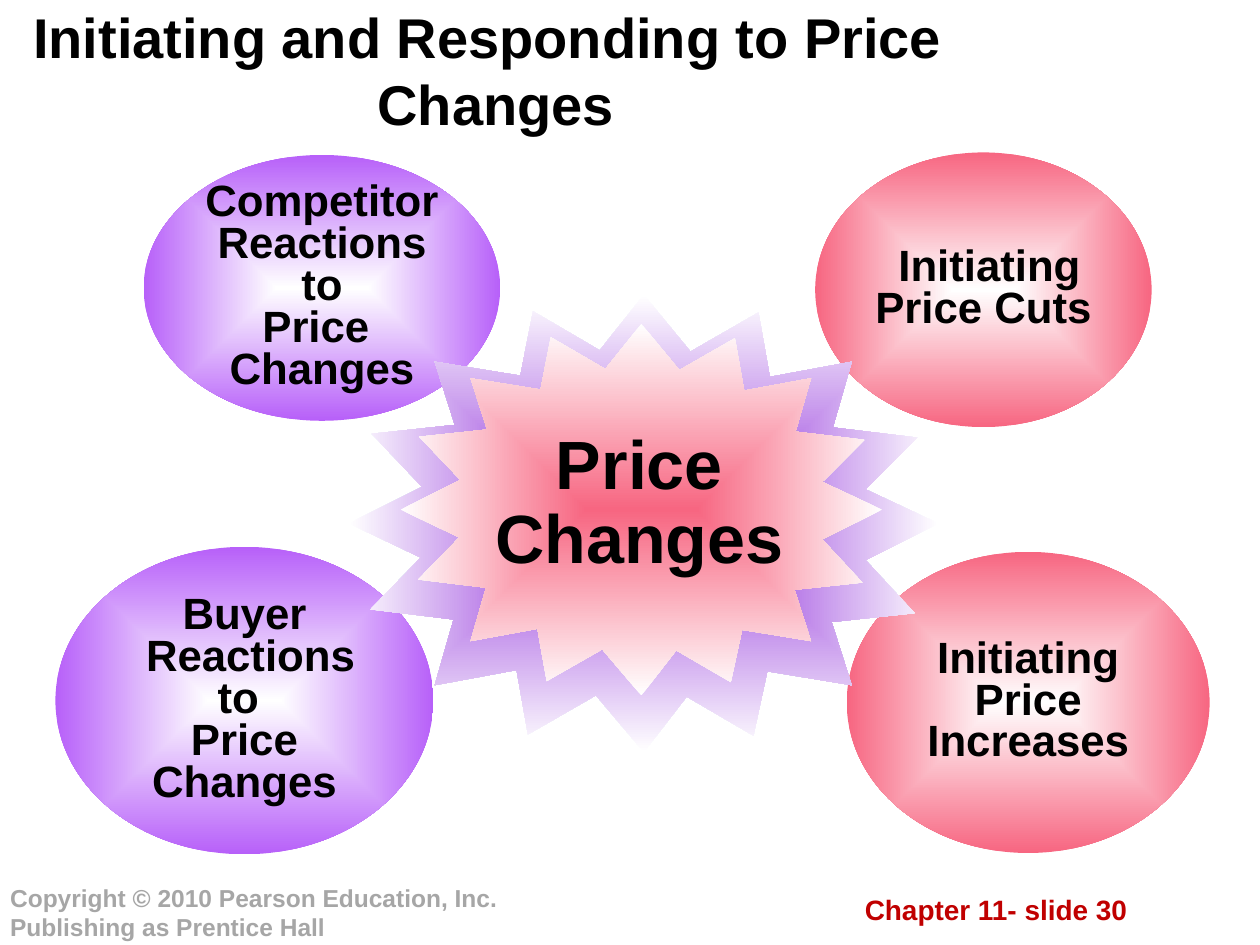
from pptx import Presentation
from pptx.dml.color import RGBColor
from pptx.enum.shapes import MSO_SHAPE
from pptx.enum.text import MSO_ANCHOR, PP_ALIGN
from pptx.oxml import parse_xml
from pptx.oxml.ns import nsdecls
from pptx.util import Inches, Pt

BLACK = RGBColor(0x00, 0x00, 0x00)
WHITE = RGBColor(0xFF, 0xFF, 0xFF)
GREY = RGBColor(0xA6, 0xA6, 0xA6)
RED = RGBColor(0xC0, 0x00, 0x00)
PINK = RGBColor(0xF7, 0x66, 0x81)
PURPLE = RGBColor(0xB7, 0x60, 0xF9)
VIOLET = RGBColor(0x92, 0x34, 0xDB)


def glow(shape, inner, outer):
    """Fill with a gradient from the centre to the edges, without line or shadow."""
    shape.shadow.inherit = False
    shape.line.fill.background()
    shape.fill.background()
    blank = shape.fill._xPr.find("{*}noFill")
    blank.getparent().replace(blank, parse_xml(
        f'<a:gradFill {nsdecls("a")} rotWithShape="1"><a:gsLst>'
        f'<a:gs pos="0"><a:srgbClr val="{inner}"/></a:gs>'
        f'<a:gs pos="100000"><a:srgbClr val="{outer}"/></a:gs></a:gsLst>'
        '<a:path path="rect"><a:fillToRect l="50000" t="50000" r="50000" b="50000"/>'
        '</a:path></a:gradFill>'))


def write(shape, text, size, color, margins, spacing=1.0, align=PP_ALIGN.CENTER,
          anchor=MSO_ANCHOR.TOP, wrap=True):
    frame = shape.text_frame
    frame.text = text
    frame.word_wrap = wrap
    frame.vertical_anchor = anchor
    frame.margin_left = frame.margin_right = Inches(margins[0])
    frame.margin_top = frame.margin_bottom = Inches(margins[1])
    for para in frame.paragraphs:
        para.alignment = align
        para.line_spacing = spacing
        para.space_before = Pt(0)
        for run in para.runs:
            run.font.name = "Arial"
            run.font.size = Pt(size)
            run.font.bold = True
            run.font.color.rgb = color


deck = Presentation()
deck.slide_width, deck.slide_height = Inches(10), Inches(7.5)
slide = deck.slides.add_slide(deck.slide_layouts[5])
shapes = slide.shapes

title = shapes.title
title.left, title.top = Inches(0.14), Inches(0)
title.width, title.height = Inches(7.59), Inches(1.1)
write(title, "Initiating and Responding to Price \vChanges", 32, BLACK, (0.1, 0.05),
      anchor=MSO_ANCHOR.MIDDLE)

# Footer
page = shapes.add_textbox(Inches(6.83), Inches(7.08), Inches(2.15), Inches(0.22))
write(page, "Chapter 11- slide 30", 16, RED, (0, 0), 1.02)
rights = shapes.add_textbox(Inches(0.08), Inches(7), Inches(4.92), Inches(0.83))
write(rights, "Copyright © 2010 Pearson Education, Inc.\nPublishing as Prentice Hall",
      14, GREY, (0, 0), 1.02, PP_ALIGN.LEFT)

# Four topics around the centre
topics = [
    ("Initiating\nPrice\nIncreases", PINK, (6.72, 4.38, 2.88, 2.39)),
    ("Competitor\nReactions\nto\nPrice \nChanges", PURPLE, (1.14, 1.23, 2.83, 2.11)),
    (" Initiating\nPrice Cuts", PINK, (6.47, 1.21, 2.67, 2.18)),
    ("Buyer\n Reactions\nto \nPrice\nChanges", PURPLE, (0.44, 4.34, 3, 2.44)),
]
for text, color, box in topics:
    oval = shapes.add_shape(MSO_SHAPE.OVAL, *map(Inches, box))
    glow(oval, WHITE, color)
    write(oval, text, 25, BLACK, (0.06, 0.03), 0.8, anchor=MSO_ANCHOR.MIDDLE, wrap=False)

# One burst outline, drawn large and then fitted smaller on top
burst = [
    (2.77, 4.15), (3.34, 4.42), (2.94, 4.83), (3.6, 4.91), (3.45, 5.43), (4.1, 5.31),
    (4.19, 5.82), (4.73, 5.51), (5.11, 5.96), (5.45, 5.52), (5.98, 5.83), (6.09, 5.32),
    (6.76, 5.43), (6.6, 4.93), (7.26, 4.86), (6.87, 4.44), (7.45, 4.15), (6.87, 3.88),
    (7.28, 3.47), (6.61, 3.39), (6.76, 2.87), (6.11, 2.99), (6.02, 2.48), (5.48, 2.79),
    (5.11, 2.34), (4.76, 2.78), (4.23, 2.47), (4.13, 2.98), (3.45, 2.87), (3.61, 3.37),
    (2.95, 3.44), (3.35, 3.86),
]
points = [(Inches(x), Inches(y)) for x, y in burst]
for color, box in [(VIOLET, (2.77, 2.34, 4.68, 3.63)), (PINK, (3.18, 2.57, 3.82, 2.95))]:
    pen = shapes.build_freeform(*points[0])
    pen.add_line_segments(points[1:], close=True)
    star = pen.convert_to_shape()
    star.left, star.top, star.width, star.height = map(Inches, box)
    glow(star, color, WHITE)

label = shapes.add_textbox(Inches(3.78), Inches(3.38), Inches(2.59), Inches(1.26))
write(label, "Price Changes", 39, BLACK, (0.09, 0.04), 0.9)

deck.save("out.pptx")
